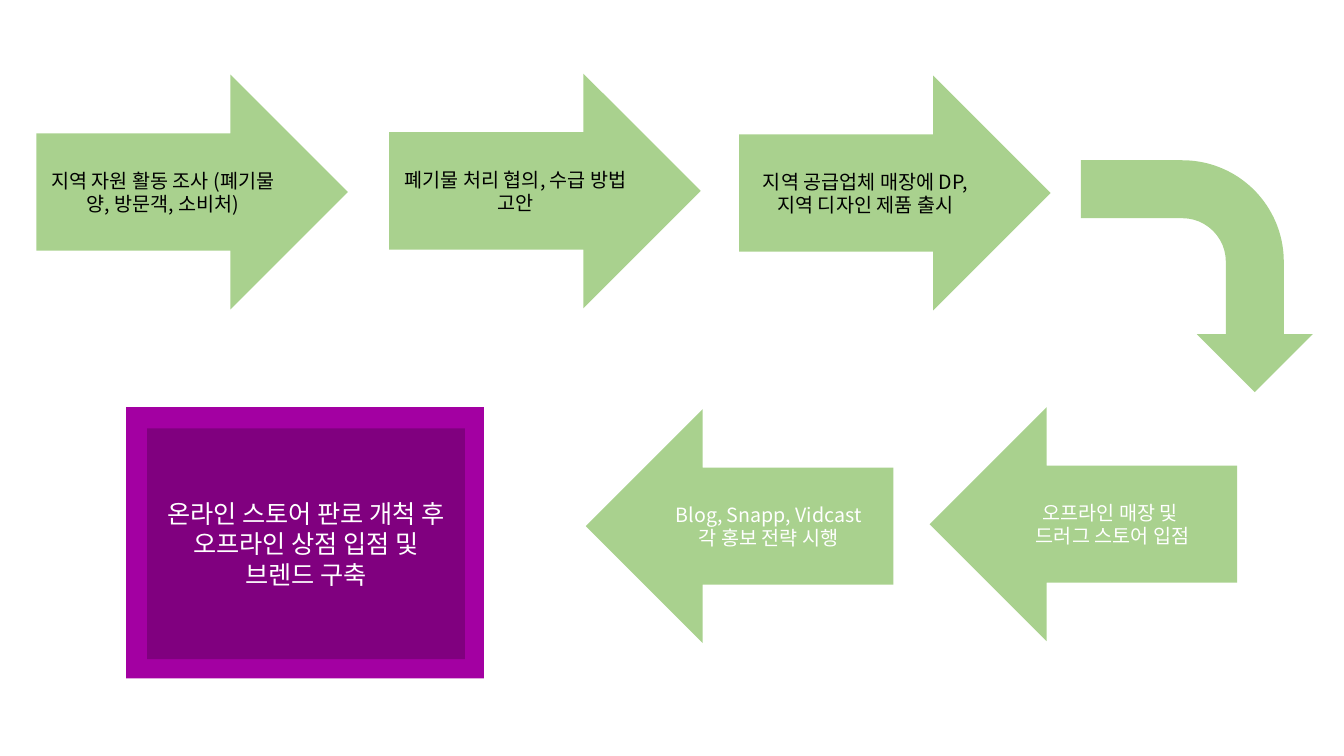
"""Build a process slide: arrows leading round to a framed goal box."""
from lxml import etree
from pptx import Presentation
from pptx.dml.color import RGBColor
from pptx.enum.shapes import MSO_SHAPE
from pptx.enum.text import MSO_ANCHOR, PP_ALIGN
from pptx.oxml.ns import qn
from pptx.util import Inches, Pt

RECT = MSO_SHAPE.RECTANGLE
RIGHT = MSO_SHAPE.RIGHT_ARROW
LEFT = MSO_SHAPE.LEFT_ARROW
BENT = MSO_SHAPE.BENT_ARROW
MIDDLE = MSO_ANCHOR.MIDDLE
CENTER = PP_ALIGN.CENTER

GREEN = RGBColor(0xA9, 0xD1, 0x8E)
FRAME_PURPLE = RGBColor(0xA3, 0x00, 0xA2)
GOAL_PURPLE = RGBColor(0x80, 0x00, 0x7F)
BLACK = RGBColor(0x00, 0x00, 0x00)
WHITE = RGBColor(0xFF, 0xFF, 0xFF)
FONT = "Noto Sans CJK KR"

prs = Presentation()
prs.slide_width, prs.slide_height = Inches(13.33), Inches(7.5)
s = prs.slides.add_slide(prs.slide_layouts[6])


def add_box(kind, x, y, w, h, fill):
    sp = s.shapes.add_shape(kind, Inches(x), Inches(y), Inches(w), Inches(h))
    sp.shadow.inherit = False
    sp.fill.solid()
    sp.fill.fore_color.rgb = fill
    sp.line.fill.background()
    return sp


def add_text(sp, text, size, color):
    tf = sp.text_frame
    tf.word_wrap = True
    tf.vertical_anchor = MIDDLE
    tf.text = text
    for p in tf.paragraphs:
        p.alignment = CENTER
        for r in p.runs:
            r.font.size = Pt(size)
            r.font.name = FONT
            r.font.color.rgb = color
            ea = etree.SubElement(r.font._element, qn("a:ea"))
            ea.set("typeface", FONT)


add_box(RECT, 1.25, 4.04, 3.55, 2.69, FRAME_PURPLE)

research_steps = [
    (0.36, 0.74, "지역 자원 활동 조사 (폐기물 양, 방문객, 소비처)"),
    (3.86, 0.73, "폐기물 처리 협의, 수급 방법 고안"),
    (7.33, 0.75, "지역 공급업체 매장에 DP, 지역 디자인 제품 출시"),
]
for x, y, text in research_steps:
    add_text(add_box(RIGHT, x, y, 3.09, 2.33, GREEN), text, 14, BLACK)

turn = add_box(BENT, 10.72, 1.59, 2.3, 2.3, GREEN)
turn.rotation = 90

sales_steps = [
    (9.22, 4.04, "오프라인 매장 및 \n드러그 스토어 입점"),
    (5.81, 4.06, "Blog, Snapp, Vidcast\n각 홍보 전략 시행"),
]
for x, y, text in sales_steps:
    add_text(add_box(LEFT, x, y, 3.05, 2.32, GREEN), text, 14, WHITE)

goal = add_box(RECT, 1.46, 4.25, 3.15, 2.29, GOAL_PURPLE)
add_text(goal, "온라인 스토어 판로 개척 후 오프라인 상점 입점 및 브렌드 구축", 18, WHITE)

prs.save("out.pptx")
